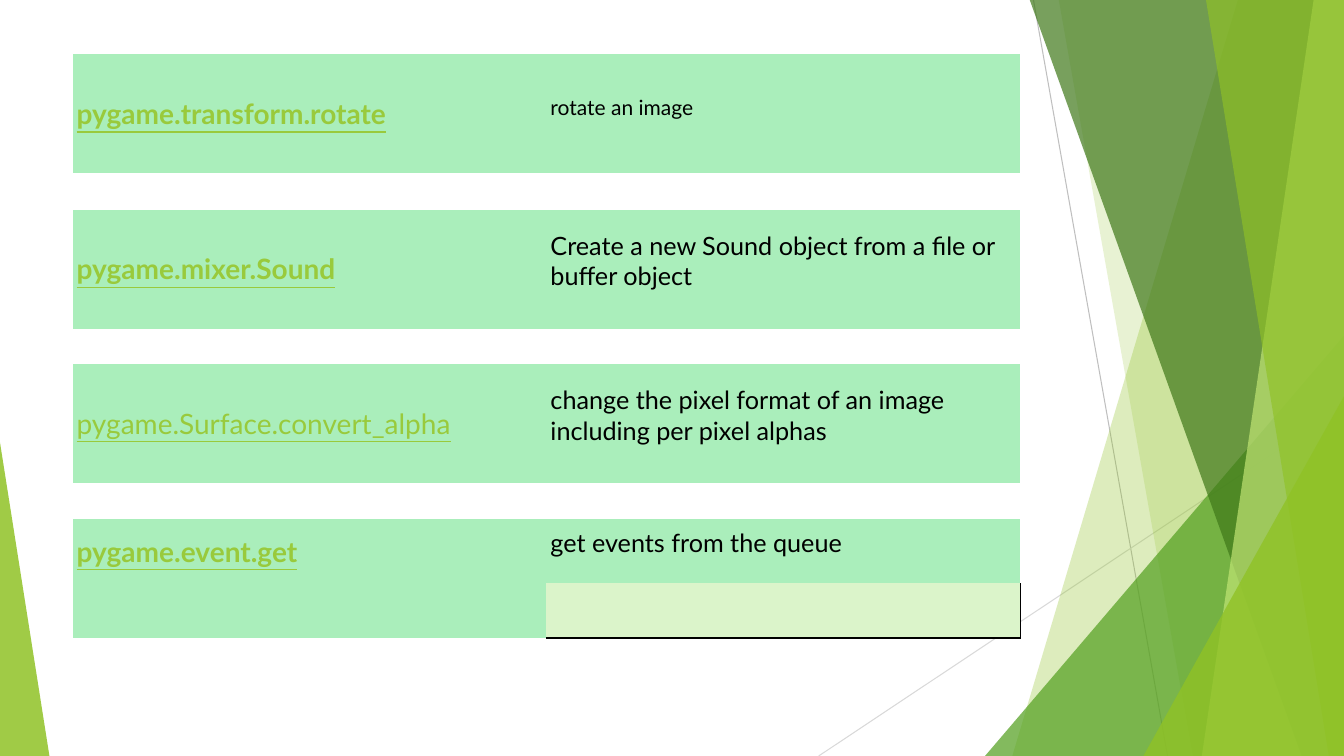
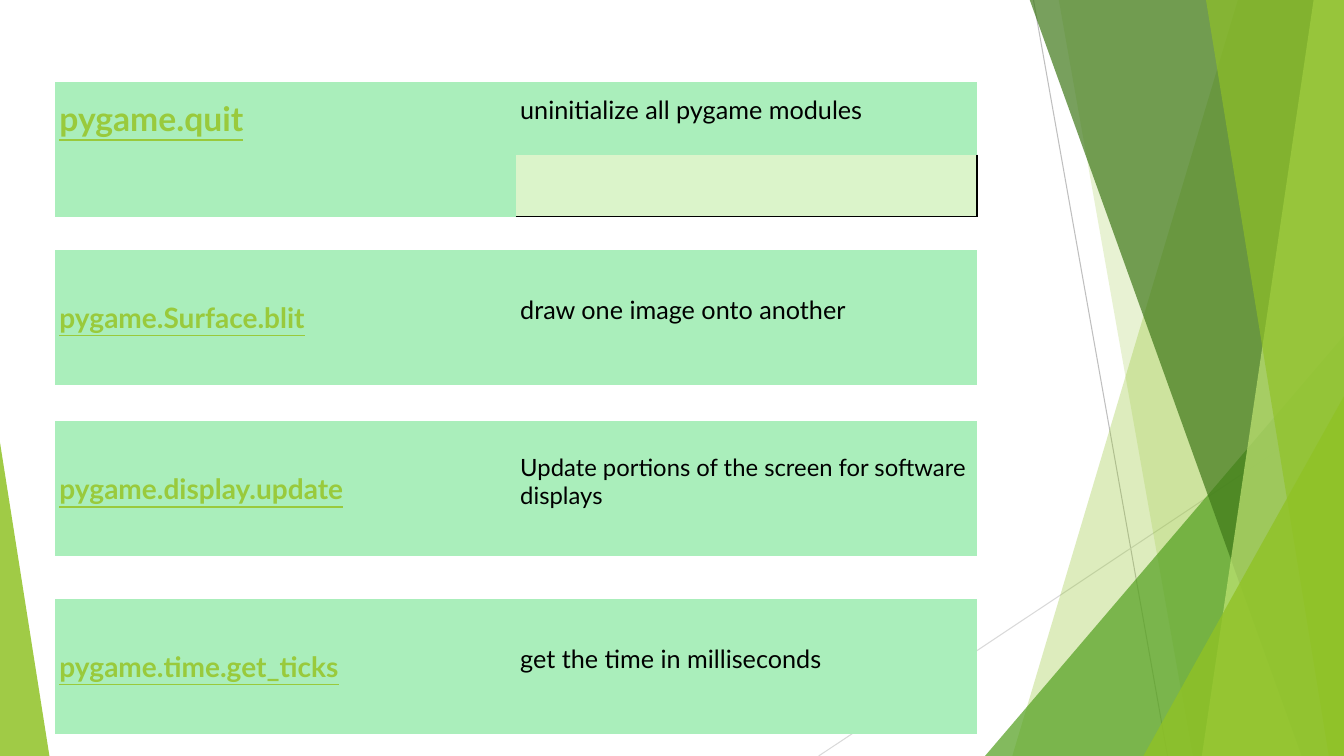
from lxml import etree
from pptx import Presentation
from pptx.dml.color import RGBColor
from pptx.enum import shapes, text
from pptx.oxml.ns import qn
from pptx.util import Inches, Pt

WIDTH, HEIGHT, OVERHANG = 13.33, 7.5, -0.01
LIME = RGBColor(0x90, 0xC2, 0x26)
LEAF = RGBColor(0x54, 0xA0, 0x21)
FOREST = RGBColor(0x3F, 0x78, 0x19)
PALE_LIME = RGBColor(0xC0, 0xE4, 0x74)
MID_GREY = RGBColor(0xBF, 0xBF, 0xBF)
LIGHT_GREY = RGBColor(0xD9, 0xD9, 0xD9)
MINT = RGBColor(0xAA, 0xEE, 0xBB)
PALE_GREEN = RGBColor(0xDB, 0xF4, 0xCA)
LINK_GREEN = RGBColor(0x99, 0xCA, 0x3C)
BLACK = RGBColor(0, 0, 0)
FONT = "Lato"
FIRST_ROW_SHARE = 0.54


class Deck:
    """Holds the green facet style and the slide being filled."""

    def __init__(self):
        self.presentation = Presentation()
        self.presentation.slide_width = Inches(WIDTH)
        self.presentation.slide_height = Inches(HEIGHT)
        self.layout = self.presentation.slide_layouts[6]
        self.slide = None

    def new_slide(self):
        self.slide = self.presentation.slides.add_slide(self.layout)

    def line(self, start, end, color):
        ray = self.slide.shapes.add_connector(
            shapes.MSO_CONNECTOR.STRAIGHT, *map(Inches, start + end))
        ray.line.color.rgb = color
        ray.line.width = Pt(0.75)
        etree.SubElement(ray.element.spPr, qn("a:effectLst"))

    def tint(self, facet, color, opacity):
        facet.shadow.inherit = False
        facet.fill.solid()
        facet.fill.fore_color.rgb = color
        facet.line.fill.background()
        fill_color = facet.element.spPr.find(qn("a:solidFill"))[0]
        etree.SubElement(fill_color, qn("a:alpha"), val=str(opacity * 1000))

    def band(self, top_x, bottom_x, color, opacity):
        builder = self.slide.shapes.build_freeform(
            Inches(top_x), Inches(OVERHANG), scale=1.0)
        corners = [(WIDTH, OVERHANG), (WIDTH, HEIGHT), (bottom_x, HEIGHT)]
        builder.add_line_segments([(Inches(x), Inches(y)) for x, y in corners])
        self.tint(builder.convert_to_shape(), color, opacity)

    def corner(self, left, top, width, apex, color, opacity):
        triangle = self.slide.shapes.add_shape(
            shapes.MSO_SHAPE.ISOSCELES_TRIANGLE,
            *map(Inches, (left, top, width, HEIGHT - top)))
        triangle.adjustments[0] = apex
        self.tint(triangle, color, opacity)

    def backdrop(self):
        self.line((10.25, 0), (11.58, HEIGHT), MID_GREY)
        self.line((WIDTH, 4.03), (8.12, HEIGHT), LIGHT_GREY)
        self.band(12.28, 10.04, LIME, 30)
        self.band(10.5, 11.83, LIME, 20)
        self.corner(9.77, 3.33, 3.56, 1, LEAF, 72)
        self.band(10.21, 12.91, FOREST, 70)
        self.band(13.03, 11.92, PALE_LIME, 70)
        self.band(11.96, 13.18, LIME, 65)
        self.corner(11.34, 3.93, 1.99, 1, LIME, 80)
        self.corner(0, 4.39, 0.49, 0, LIME, 85)
        for piece in list(self.slide.shapes):
            self.layout.shapes.element.append(piece.element)

    def paint_cell(self, cell, color, edges=()):
        properties = cell._tc.get_or_add_tcPr()
        for side in ("lnL", "lnR", "lnT", "lnB"):
            border = etree.SubElement(properties, qn("a:" + side), w=str(Pt(1)))
            if side in edges:
                ink = etree.SubElement(border, qn("a:solidFill"))
                etree.SubElement(ink, qn("a:srgbClr"), val=str(BLACK))
            else:
                etree.SubElement(border, qn("a:noFill"))
        cell.fill.solid()
        cell.fill.fore_color.rgb = color

    def write_cell(self, cell, wording, size, color, bottom, **emphasis):
        cell.vertical_anchor = text.MSO_ANCHOR.MIDDLE
        cell.margin_left, cell.margin_right = Inches(0.04), Inches(0.08)
        cell.margin_top, cell.margin_bottom = Inches(0.01), Inches(bottom)
        run = cell.text_frame.paragraphs[0].add_run()
        run.text = wording
        run.font.name = FONT
        run.font.size = Pt(size)
        run.font.color.rgb = color
        run.font.bold = emphasis.get("bold", False)
        run.font.underline = emphasis.get("underline", False)

    def entry(self, box, function, summary, name_size=20, summary_size=18,
              bold=True, split=False):
        height = box[3]
        shares = (FIRST_ROW_SHARE, 1 - FIRST_ROW_SHARE) if split else (1,)
        table = self.slide.shapes.add_table(
            len(shares), 2, *map(Inches, box)).table
        table.first_row = table.horz_banding = False
        for row, share in zip(table.rows, shares):
            row.height = Inches(height * share)
        for cell in table.iter_cells():
            if split and cell is not None and cell._tc is table.cell(1, 1)._tc:
                self.paint_cell(cell, PALE_GREEN, ("lnR", "lnB"))
            else:
                self.paint_cell(cell, MINT)
        self.write_cell(table.cell(0, 0), function, name_size, LINK_GREEN, 0.01,
                        bold=bold, underline=True)
        self.write_cell(table.cell(0, 1), summary, summary_size, BLACK,
                        (summary_size - 1) / 100)

    def entries(self, left, width, height, rows):
        for top, function, summary, options in rows:
            self.entry((left, top, width, height), function, summary, **options)


def main():
    deck = Deck()
    deck.new_slide()
    deck.backdrop()
    deck.entries(0.72, 9.4, 1.18, [
        (0.54, "pygame.transform.rotate", "rotate an image",
         {"summary_size": 15}),
        (2.08, "pygame.mixer.Sound",
         "Create a new Sound object from a file or buffer object", {}),
        (3.61, "pygame.Surface.convert_alpha",
         "change the pixel format of an image including per pixel alphas",
         {"bold": False}),
        (5.15, "pygame.event.get", "get events from the queue",
         {"split": True}),
    ])
    deck.new_slide()
    deck.entries(0.55, 9.14, 1.34, [
        (0.81, "pygame.quit", "uninitialize all pygame modules",
         {"name_size": 24, "split": True}),
        (2.48, "pygame.Surface.blit", "draw one image onto another", {}),
        (4.18, "pygame.display.update",
         "Update portions of the screen for software displays",
         {"summary_size": 17}),
        (5.94, "pygame.time.get_ticks", "get the time in milliseconds", {}),
    ])
    deck.presentation.save("out.pptx")


if __name__ == "__main__":
    main()
